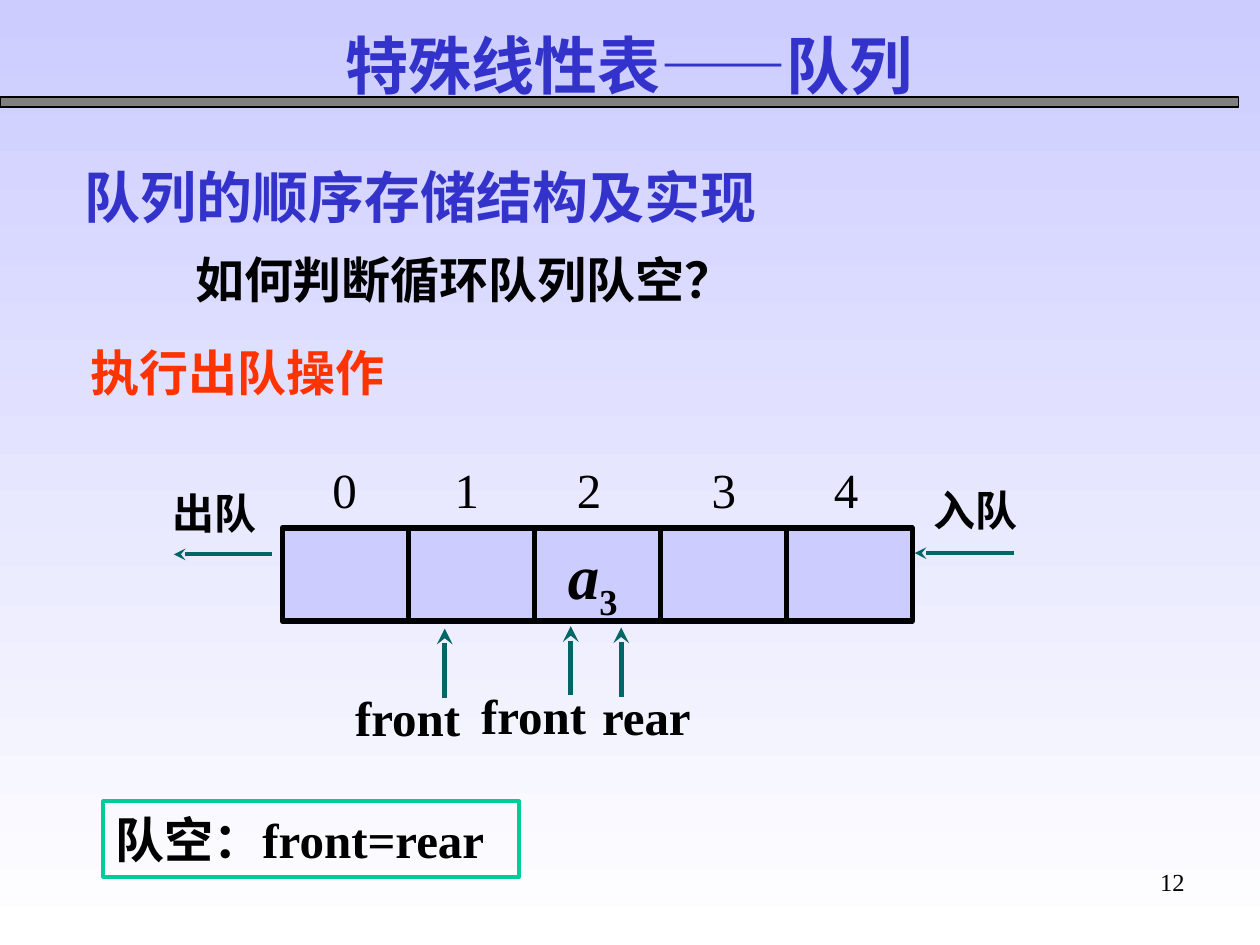
from lxml.etree import SubElement
from pptx import Presentation
from pptx.dml.color import RGBColor
from pptx.enum.shapes import MSO_CONNECTOR, MSO_SHAPE
from pptx.enum.text import MSO_ANCHOR, PP_ALIGN
from pptx.oxml.ns import qn
from pptx.util import Inches, Pt

COLORS = {
    "sky": "CCCCFF", "white": "FFFFFF", "black": "000000", "gray": "808080",
    "blue": "3333CC", "red": "FF3300", "green": "00CC99", "teal": "006666",
}


def color(name):
    return RGBColor.from_string(COLORS[name])


class QueueSlide:
    font = "Times New Roman"

    def __init__(self, deck):
        self.page = deck.slides.add_slide(deck.slide_layouts[5])

    def background(self, top, bottom):
        fill = self.page.background.fill
        fill.gradient()
        fill.gradient_angle = 270
        for stop, name, position in zip(fill.gradient_stops, (top, bottom), (0, 1)):
            stop.color.rgb = color(name)
            stop.position = position

    def span(self, para, text, size, ink="black", bold=True, italic=False):
        span = para.add_run()
        span.text = text
        span.font.name = self.font
        span.font.size = Pt(size)
        span.font.bold = bold
        span.font.italic = italic
        span.font.color.rgb = color(ink)
        return span

    def frame(self, box, anchor=MSO_ANCHOR.TOP, align=PP_ALIGN.LEFT):
        frame = box.text_frame
        frame.word_wrap = True
        frame.vertical_anchor = anchor
        if align == PP_ALIGN.LEFT:
            frame.margin_right = 0
        para = frame.paragraphs[0]
        para.alignment = align
        return para

    def title(self, text, left, top, width, height, size, ink):
        box = self.page.shapes.title
        box.left, box.top = Inches(left), Inches(top)
        box.width, box.height = Inches(width), Inches(height)
        span = self.span(self.frame(box), text, size, ink)
        effects = SubElement(span.font._element, qn("a:effectLst"))
        shadow = SubElement(effects, qn("a:outerShdw"), dist="38100", dir="2700000")
        SubElement(shadow, qn("a:srgbClr"), val=COLORS["gray"])
        # Effects must stand right after the text fill
        span.font._element.find(qn("a:solidFill")).addnext(effects)

    def text(self, text, left, top, width, height, size, ink="black",
             bold=True, italic=False, align=PP_ALIGN.LEFT, tabs=()):
        box = self.page.shapes.add_textbox(
            Inches(left), Inches(top), Inches(width), Inches(height))
        para = self.frame(box, align=align)
        if tabs:
            tab_list = SubElement(para._p.get_or_add_pPr(), qn("a:tabLst"))
            for tab in tabs:
                SubElement(tab_list, qn("a:tab"), pos=str(Inches(tab)), algn="l")
        self.span(para, text, size, ink, bold, italic)
        return para

    def rectangle(self, left, top, width, height, fill, line, weight):
        box = self.page.shapes.add_shape(
            MSO_SHAPE.RECTANGLE, Inches(left), Inches(top), Inches(width), Inches(height))
        box.shadow.inherit = False
        if fill:
            box.fill.solid()
            box.fill.fore_color.rgb = color(fill)
        else:
            box.fill.background()
        box.line.color.rgb = color(line)
        box.line.width = Pt(weight)
        return box

    def arrow(self, start, end, weight):
        arrow = self.page.shapes.add_connector(
            MSO_CONNECTOR.STRAIGHT, *(Inches(value) for value in start + end))
        arrow.line.color.rgb = color("teal")
        arrow.line.width = Pt(weight)
        SubElement(arrow.line._get_or_add_ln(), qn("a:tailEnd"), type="stealth")
        SubElement(arrow._element.spPr, qn("a:effectLst"))

    def pointer(self, name, text_left, arrow_x, top, width):
        self.arrow((arrow_x, top + 0.55), (arrow_x, top), 3)
        self.text(name, text_left, top + 0.42, width, 0.57, 28)


def main():
    deck = Presentation()
    deck.slide_width, deck.slide_height = Inches(10), Inches(7.5)
    slide = QueueSlide(deck)

    # Background, title bar and page number
    slide.background("sky", "white")
    slide.rectangle(0, 0.77, 9.83, 0.08, "gray", "black", 0.75)
    slide.title("特殊线性表——队列", 2.64, 0.16, 5.89, 0.7, 36, "blue")
    slide.text("12", 7.17, 6.83, 2.33, 0.52, 14, bold=False, align=PP_ALIGN.RIGHT)

    # Headings
    slide.text("队列的顺序存储结构及实现", 0.57, 1.24, 6.75, 0.63, 32, "blue")
    slide.text("如何判断循环队列队空？", 1.45, 1.93, 6.89, 0.57, 28)
    slide.text("执行出队操作", 0.62, 2.67, 3, 0.57, 28, "red")

    # Queue cells with indices and the one stored element
    for index in range(5):
        slide.rectangle(2.24 + index, 4.19, 1, 0.74, "sky", "black", 3)
    slide.text("0\t1\t2\t3\t4", 2.54, 3.6, 4.68, 0.57, 28, bold=False,
               tabs=(0.97, 1.94, 3.01, 3.98))
    element = slide.text("a", 4.41, 4.21, 0.64, 0.7, 36, italic=True)
    subscript = slide.span(element, "3", 36)
    subscript.font._element.set("baseline", "-25000")

    # Queue ends
    slide.text("出队", 1.27, 3.82, 1, 0.5, 24)
    slide.arrow((2.16, 4.4), (1.38, 4.4), 2.25)
    slide.text("入队", 7.31, 3.8, 1.08, 0.5, 24)
    slide.arrow((8.05, 4.39), (7.26, 4.39), 2.25)

    # Pointers below the cells
    slide.pointer("front", 2.72, 3.53, 4.99, 1.05)
    slide.pointer("front", 3.72, 4.53, 4.97, 1.05)
    slide.pointer("rear", 4.68, 4.93, 4.98, 1.13)

    # Empty-queue condition
    condition = slide.rectangle(0.82, 6.36, 3.3, 0.6, None, "green", 2.25)
    slide.span(slide.frame(condition, MSO_ANCHOR.MIDDLE), "队空：front=rear", 28)

    deck.save("out.pptx")


if __name__ == "__main__":
    main()
